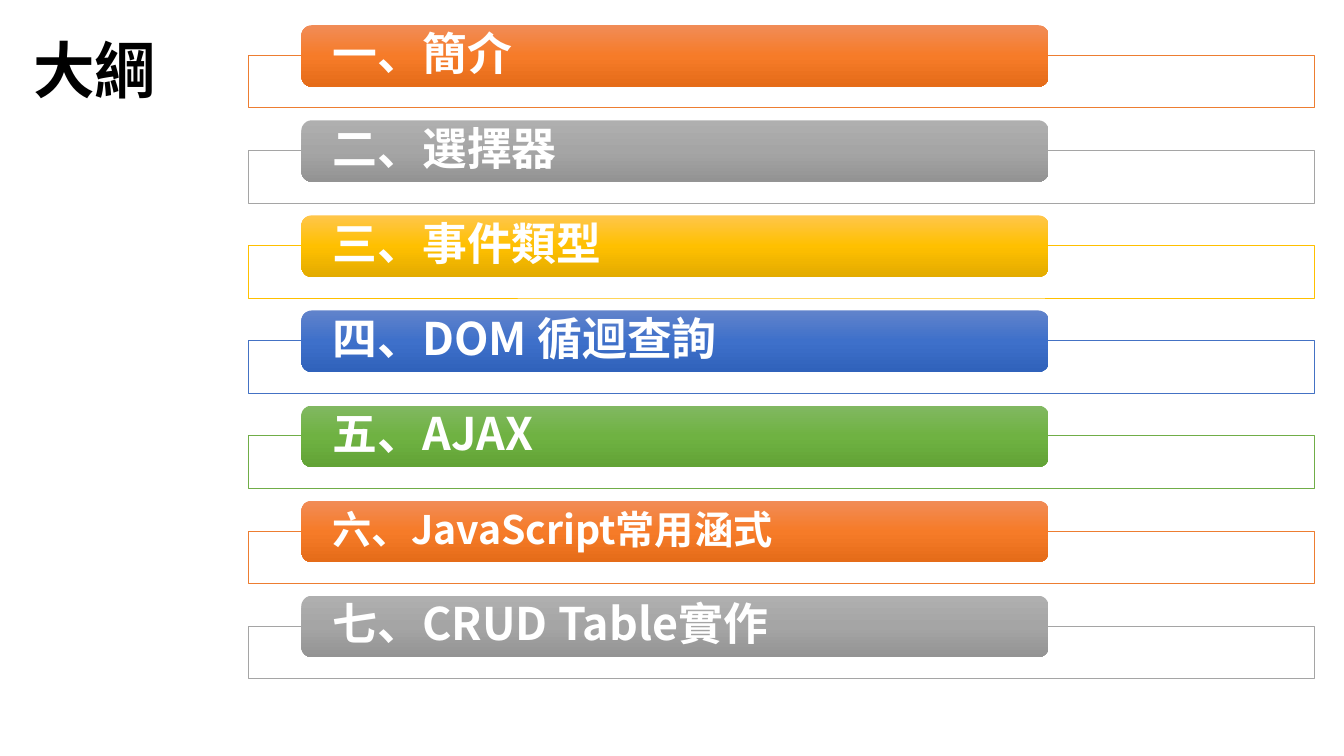
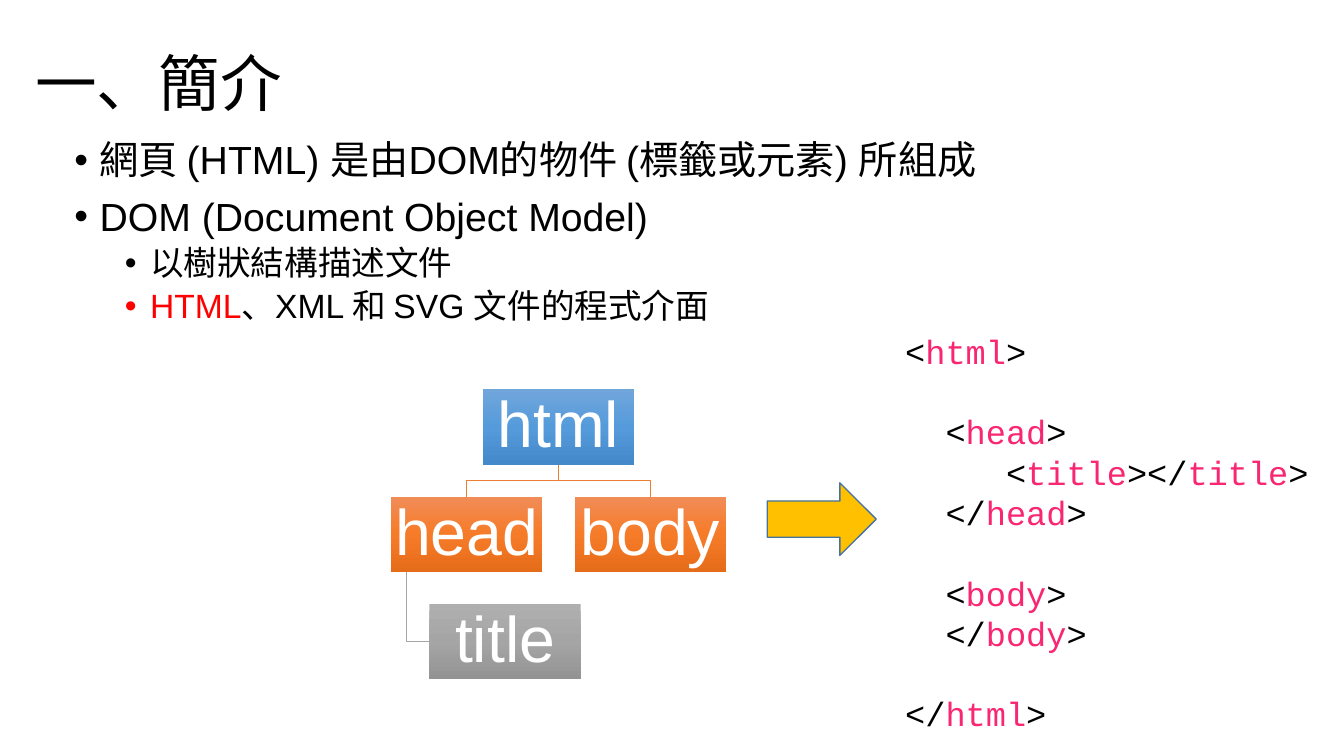
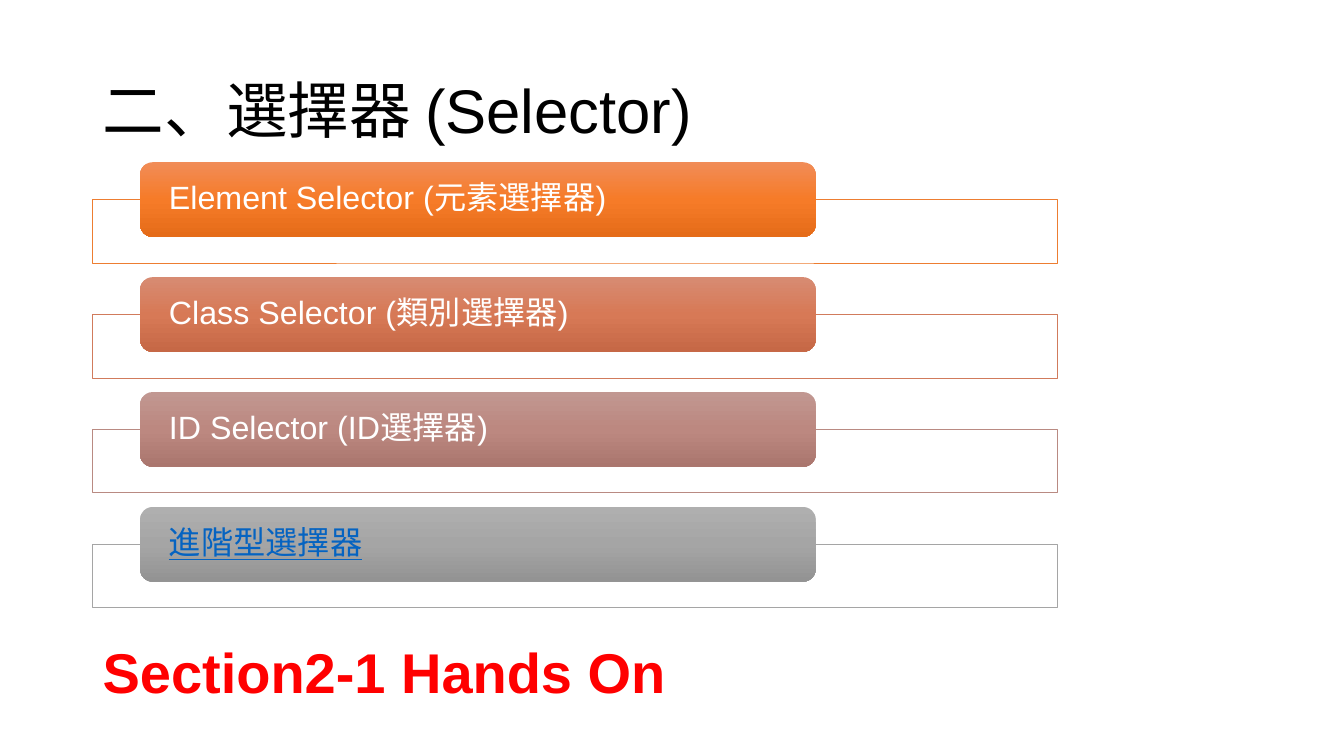
from copy import deepcopy
from dataclasses import dataclass

from lxml.etree import SubElement
from pptx import Presentation
from pptx.dml.color import RGBColor
from pptx.enum.shapes import MSO_SHAPE
from pptx.enum.text import MSO_ANCHOR, MSO_AUTO_SIZE, PP_ALIGN
from pptx.oxml.ns import qn
from pptx.util import Inches, Pt

# Shared style
LATIN, CHINESE, MONO = "Arial", "Noto Sans CJK TC", "Courier New"
BLACK, WHITE, RED, PINK, LINK = "000000", "FFFFFF", "FF0000", "F92672", "0563C1"


@dataclass(frozen=True)
class Tone:
    """A line colour and the three stops of the matching gradient."""
    line: str
    stops: tuple[str, str, str]


ORANGE = Tone("ED7D31", ("F18C57", "F67B28", "E56C19"))
GRAY = Tone("A5A5A5", ("AFAFAF", "A5A5A5", "939393"))
GOLD = Tone("FFC000", ("FFC64B", "FFC000", "E3AB00"))
BLUE = Tone("4472C4", ("6183CB", "3E70CA", "3062BB"))
GREEN = Tone("70AD47", ("81B861", "6FB242", "62A336"))
SKY = Tone("5B9BD5", ("71A6DB", "559BDB", "448ACA"))
COPPER = Tone("D17B5C", ("D78B72", "D77956", "C66846"))
ROSE = Tone("B98A82", ("C19791", "BC8880", "AA766E"))


@dataclass(frozen=True)
class Style:
    size: float
    color: str = BLACK
    font: str = LATIN
    bold: bool = False
    underline: bool = False


@dataclass(frozen=True)
class Bar:
    text: str
    tone: Tone
    style: Style


@dataclass(frozen=True)
class BarList:
    """Geometry of a column of bars, each in front of a wide frame."""
    left: float
    top: float
    step: float
    frame_width: float
    frame_height: float
    frame_drop: float
    bar_indent: float
    bar_width: float
    bar_height: float
    inset: float


@dataclass(frozen=True)
class Node:
    text: str
    left: float
    top: float
    tone: Tone


@dataclass(frozen=True)
class CodeLine:
    indent: int
    spans: tuple[str, ...]  # plain and tag-name text in turn
    gap: bool = False


def rgb(color: str) -> RGBColor:
    return RGBColor.from_string(color)


def add_span(para, text: str, style: Style) -> None:
    span = para.add_run()
    span.text = text
    font = span.font
    font.name, font.size, font.bold = style.font, Pt(style.size), style.bold
    font.underline = style.underline or None
    font.color.rgb = rgb(style.color)
    latin = span._r.rPr.find(qn("a:latin"))
    east_asian = deepcopy(latin)
    east_asian.tag = qn("a:ea")
    east_asian.set("typeface", CHINESE)
    latin.addnext(east_asian)


def set_frame(frame, side: float = 0.1, edge: float = 0.05,
              anchor=MSO_ANCHOR.TOP, wrap: bool = True) -> None:
    frame.margin_left = frame.margin_right = Inches(side)
    frame.margin_top = frame.margin_bottom = Inches(edge)
    frame.vertical_anchor = anchor
    frame.word_wrap = wrap
    frame.auto_size = MSO_AUTO_SIZE.NONE


def add_box(page, left: float, top: float, width: float, height: float, wrap: bool = True):
    box = page.shapes.add_textbox(Inches(left), Inches(top), Inches(width), Inches(height))
    set_frame(box.text_frame, wrap=wrap)
    return box.text_frame


def add_panel(page, kind, left: float, top: float, width: float, height: float):
    panel = page.shapes.add_shape(kind, Inches(left), Inches(top), Inches(width), Inches(height))
    panel.shadow.inherit = False
    return panel


def fill_solid(shape, color: str, line: str, weight: float) -> None:
    shape.fill.solid()
    shape.fill.fore_color.rgb = rgb(color)
    shape.line.color.rgb = rgb(line)
    shape.line.width = Pt(weight)


def fill_gradient(shape, tone: Tone) -> None:
    shape.fill.gradient()
    shape.fill.gradient_angle = 270
    first = shape._element.spPr.find(".//" + qn("a:gs"))
    first.addnext(deepcopy(first))
    for index, (stop, color) in enumerate(zip(shape.fill.gradient_stops, tone.stops)):
        stop.position = index / 2
        stop.color.rgb = rgb(color)
    shape.line.fill.background()


def add_label(shape, text: str, style: Style, align, side: float, edge: float) -> None:
    set_frame(shape.text_frame, side, edge, MSO_ANCHOR.MIDDLE)
    para = shape.text_frame.paragraphs[0]
    para.alignment = align
    para.line_spacing = 0.9
    add_span(para, text, style)


def add_page(deck, title: str, left: float, top: float, style: Style = Style(44)):
    page = deck.slides.add_slide(deck.slide_layouts[5])
    box = page.shapes.title
    box.left, box.top, box.width, box.height = map(Inches, (left, top, 11.5, 1.45))
    add_label(box, title, style, PP_ALIGN.LEFT, 0.1, 0.05)
    return page


def add_bars(page, layout: BarList, bars: list[Bar]) -> None:
    for index, bar in enumerate(bars):
        top = layout.top + index * layout.step
        frame = add_panel(page, MSO_SHAPE.RECTANGLE, layout.left, top + layout.frame_drop,
                          layout.frame_width, layout.frame_height)
        fill_solid(frame, WHITE, bar.tone.line, 0.5)
        panel = add_panel(page, MSO_SHAPE.ROUNDED_RECTANGLE, layout.left + layout.bar_indent,
                          top, layout.bar_width, layout.bar_height)
        fill_gradient(panel, bar.tone)
        add_label(panel, bar.text, bar.style, PP_ALIGN.LEFT, layout.inset, 0)


def set_bullet(para, level: int) -> None:
    para.level = level
    para.line_spacing = 0.9
    para.space_before = Pt(5 if level else 10)
    properties = para._p.get_or_add_pPr()
    properties.set("marL", str(Inches(0.25 + 0.5 * level)))
    properties.set("indent", str(Inches(-0.25)))
    SubElement(properties, qn("a:buFont"), typeface=LATIN)
    SubElement(properties, qn("a:buChar"), char="•")


def add_bullets(page, items: list[tuple[int, list[tuple[str, str]]]]) -> None:
    frame = add_box(page, 0.64, 1.35, 11.5, 2)
    for index, (level, spans) in enumerate(items):
        para = frame.add_paragraph() if index else frame.paragraphs[0]
        set_bullet(para, level)
        for text, color in spans:
            add_span(para, text, Style(24 if level else 28, color))


def add_code(page, lines: list[CodeLine]) -> None:
    size, pitch, character = 24, 28.8, 0.2
    frame = add_box(page, 8.88, 3.23, 4.4, 4.14, wrap=False)
    for index, line in enumerate(lines):
        para = frame.add_paragraph() if index else frame.paragraphs[0]
        para.line_spacing = Pt(pitch)
        para.space_before = Pt(pitch if line.gap else 0)
        para._p.get_or_add_pPr().set("marL", str(Inches(line.indent * character)))
        for position, text in enumerate(line.spans):
            add_span(para, text, Style(size, PINK if position % 2 else BLACK, MONO))


def add_branch(page, points: list[tuple[float, float]], color: str) -> None:
    corners = [(Inches(x), Inches(y)) for x, y in points]
    builder = page.shapes.build_freeform(*corners[0])
    builder.add_line_segments(corners[1:], close=False)
    branch = builder.convert_to_shape()
    branch.shadow.inherit = False
    branch.fill.background()
    branch.line.color.rgb = rgb(color)
    branch.line.width = Pt(0.5)


def add_tree(page) -> None:
    width, height = 1.5, 0.75
    root = Node("html", 4.79, 3.86, SKY)
    head = Node("head", 3.88, 4.93, ORANGE)
    body = Node("body", 5.7, 4.93, ORANGE)
    title = Node("title", 4.26, 5.99, GRAY)

    # Branches lie behind the nodes
    start = root.left + width / 2
    bottom = root.top + height
    for child in (body, head):
        middle, end = (bottom + child.top) / 2, child.left + width / 2
        add_branch(page, [(start, bottom), (start, middle), (end, middle), (end, child.top)],
                   child.tone.line)
    stem, level = head.left + width / 10, title.top + height / 2
    add_branch(page, [(stem, head.top + height), (stem, level), (title.left, level)],
               title.tone.line)

    for node in (root, head, title, body):
        panel = add_panel(page, MSO_SHAPE.RECTANGLE, node.left, node.top, width, height)
        fill_gradient(panel, node.tone)
        add_label(panel, node.text, Style(46, WHITE), PP_ALIGN.CENTER, 0.03, 0.03)


def build_outline(deck) -> None:
    page = add_page(deck, "大綱", 0.23, 0, Style(44, font=CHINESE, bold=True))
    large = Style(32, WHITE, CHINESE, bold=True)
    small = Style(28, WHITE, CHINESE, bold=True)
    layout = BarList(left=2.46, top=0.25, step=5.66 / 6, frame_width=10.58, frame_height=0.52,
                     frame_drop=0.3, bar_indent=0.53, bar_width=7.41, bar_height=0.61,
                     inset=0.28)
    add_bars(page, layout, [
        Bar("一、簡介", ORANGE, large),
        Bar("二、選擇器", GRAY, large),
        Bar("三、事件類型", GOLD, large),
        Bar("四、DOM 循迴查詢", BLUE, large),
        Bar("五、AJAX", GREEN, large),
        Bar("六、JavaScript常用涵式", ORANGE, small),
        Bar("七、CRUD Table實作", GRAY, large),
    ])


def build_introduction(deck) -> None:
    page = add_page(deck, "一、簡介", 0.25, 0.13)
    add_bullets(page, [
        (0, [("網頁 (HTML) 是由DOM的物件 (標籤或元素) 所組成", BLACK)]),
        (0, [("DOM (Document Object Model)", BLACK)]),
        (1, [("以樹狀結構描述文件", BLACK)]),
        (1, [("HTML", RED), ("、XML 和 SVG 文件的程式介面", BLACK)]),
    ])
    add_code(page, [
        CodeLine(0, ("<", "html", ">")),
        CodeLine(2, ("<", "head", ">"), gap=True),
        CodeLine(5, ("<", "title", "></", "title", ">")),
        CodeLine(2, ("</", "head", ">")),
        CodeLine(2, ("<", "body", ">"), gap=True),
        CodeLine(2, ("</", "body", ">")),
        CodeLine(0, ("</", "html", ">"), gap=True),
    ])
    add_tree(page)
    arrow = add_panel(page, MSO_SHAPE.RIGHT_ARROW, 7.61, 4.79, 1.08, 0.72)
    fill_solid(arrow, GOLD.line, "43739E", 1)


def build_selectors(deck) -> None:
    page = add_page(deck, "二、選擇器 (Selector)", 0.92, 0.4)
    plain = Style(23, WHITE)
    layout = BarList(left=0.92, top=1.61, step=1.14, frame_width=9.57, frame_height=0.63,
                     frame_drop=0.37, bar_indent=0.47, bar_width=6.7, bar_height=0.74,
                     inset=0.25)
    add_bars(page, layout, [
        Bar("Element Selector (元素選擇器)", ORANGE, plain),
        Bar("Class Selector (類別選擇器)", COPPER, plain),
        Bar("ID Selector (ID選擇器)", ROSE, plain),
        Bar("進階型選擇器", GRAY, Style(23, LINK, underline=True)),
    ])
    frame = add_box(page, 0.92, 6.28, 5.84, 0.77, wrap=False)
    add_span(frame.paragraphs[0], "Section2-1 Hands On", Style(40, RED, bold=True))


def main() -> None:
    deck = Presentation()
    deck.slide_width, deck.slide_height = Inches(13.33), Inches(7.5)
    build_outline(deck)
    build_introduction(deck)
    build_selectors(deck)
    deck.save("out.pptx")


if __name__ == "__main__":
    main()
